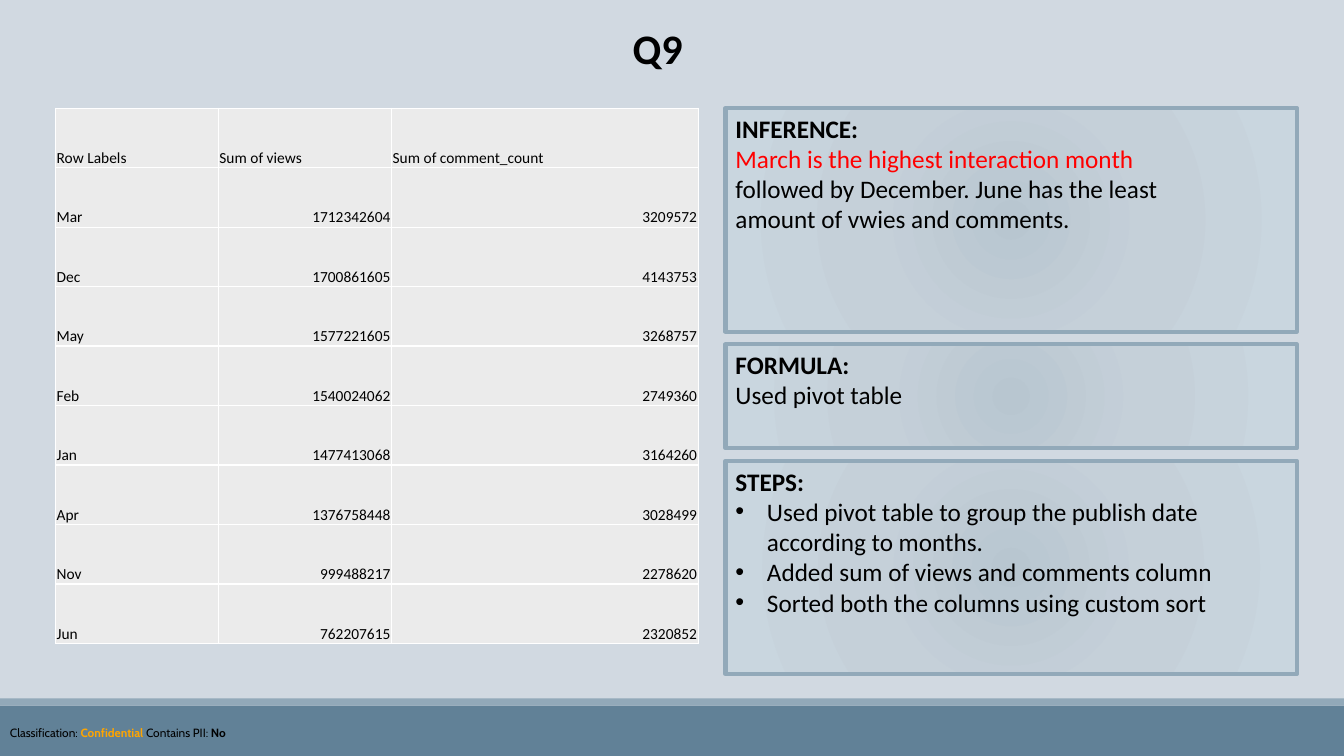
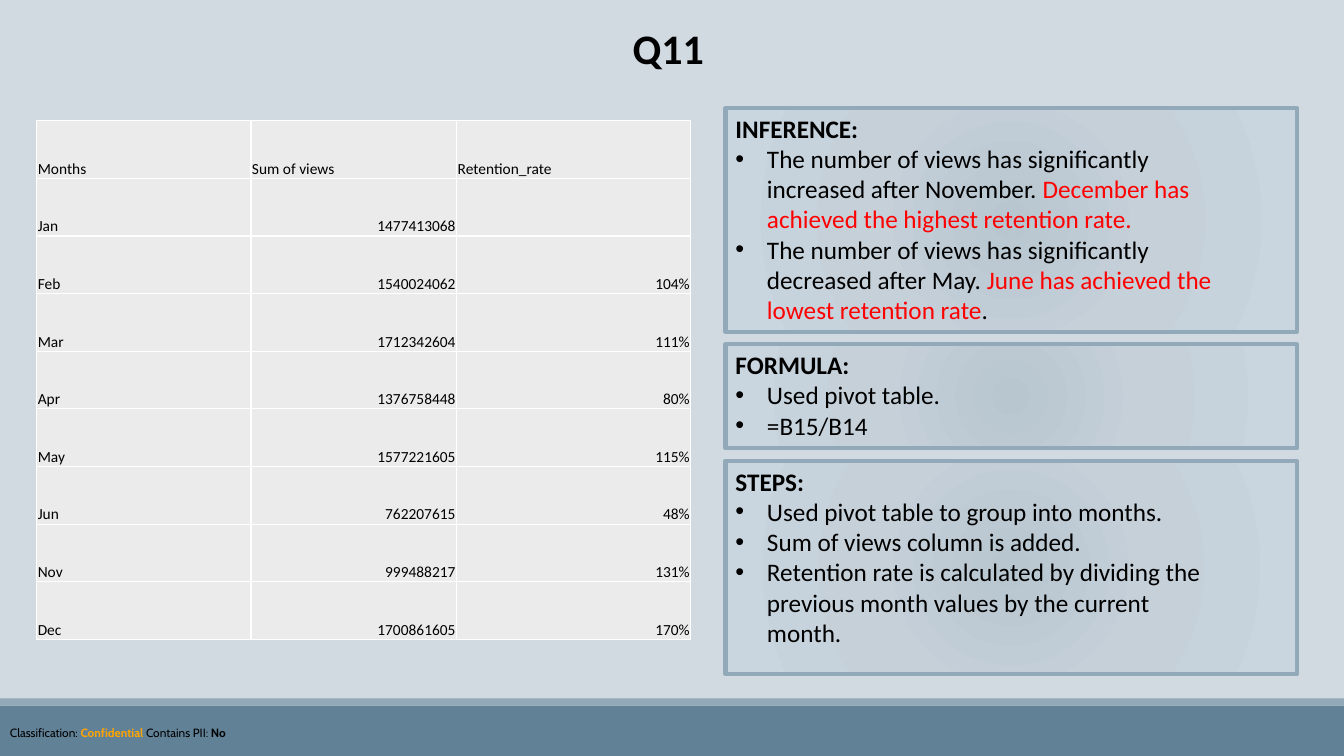
from pptx import Presentation
from pptx.dml.color import RGBColor
from pptx.enum.shapes import MSO_SHAPE
from pptx.enum.text import MSO_ANCHOR, PP_ALIGN
from pptx.oxml import parse_xml
from pptx.oxml.ns import nsdecls, qn
from pptx.util import Emu, Pt

# Shared look
SLIDE_W, SLIDE_H = 1280, 720
BACKGROUND = RGBColor(0xD1, 0xD9, 0xE1)
BAND = RGBColor(0x61, 0x81, 0x97)
ACCENT = RGBColor(0x92, 0xA9, 0xB9)
CELL = RGBColor(0xEB, 0xEB, 0xEB)
WHITE = RGBColor(0xFF, 0xFF, 0xFF)
BLACK = RGBColor(0x00, 0x00, 0x00)
RED = RGBColor(0xFF, 0x00, 0x00)
ORANGE = RGBColor(0xFF, 0xA5, 0x00)
PANEL_STOPS = [(0, RGBColor(0xB8, 0xC6, 0xD0)),
               (45, RGBColor(0xC5, 0xD0, 0xD9)),
               (100, RGBColor(0xC9, 0xD6, 0xDF))]
BODY_FONT, FOOTER_FONT = "Calibri", "Cabin"

# Right-hand column of panels
PANEL_X, PANEL_Y, PANEL_W, PANEL_GAP = 691, 103, 544, 12
PANEL_HEIGHTS = [213, 99, 203]
PANEL_TEXT_W = 482
BULLET_INDENT = 30


def px(length):
    return Emu(length * 9525)


def set_font(font, size, name=BODY_FONT, color=BLACK, bold=False):
    font.size, font.name, font.bold = Pt(size), name, bold
    font.color.rgb = color


def add_rect(slide, x, y, w, h, fill):
    rect = slide.shapes.add_shape(MSO_SHAPE.RECTANGLE, px(x), px(y), px(w), px(h))
    rect.shadow.inherit = False
    rect.fill.solid()
    rect.fill.fore_color.rgb = fill
    rect.line.fill.background()
    return rect


def add_text_frame(slide, x, y, w, h):
    frame = slide.shapes.add_textbox(px(x), px(y), px(w), px(h)).text_frame
    frame.word_wrap = True
    return frame


def add_runs(paragraph, runs):
    """Each run is plain text, or a pair of text and colour."""
    for item in runs:
        text, color = (item, BLACK) if isinstance(item, str) else item
        run = paragraph.add_run()
        run.text = text
        run.font.color.rgb = color


def add_footer(slide, y):
    add_rect(slide, 0, y + 7, SLIDE_W, SLIDE_H - y - 7, BAND)
    add_rect(slide, 0, y, SLIDE_W, 7, ACCENT)
    label = add_text_frame(slide, 0, y + 21, SLIDE_W, 23).paragraphs[0]
    set_font(label.font, 8.5, FOOTER_FONT)
    add_runs(label, ["Classification: ", ("Confidential", ORANGE),
                     " Contains PII: ", "No"])
    for answer in label.runs[1::2]:
        answer.font.bold = True


def add_title(slide, title):
    heading = add_text_frame(slide, 593, 17, 359, 59).paragraphs[0]
    heading.text = title
    set_font(heading.font, 30, bold=True)


def fill_radial(shape):
    stops = "".join(f'<a:gs pos="{at * 1000}"><a:srgbClr val="{color}"/></a:gs>'
                    for at, color in PANEL_STOPS)
    shape.fill.gradient()
    properties = shape.fill._xPr
    properties.replace(properties.find(qn("a:gradFill")), parse_xml(
        f'<a:gradFill {nsdecls("a")} rotWithShape="1"><a:gsLst>{stops}</a:gsLst>'
        '<a:path path="circle"><a:fillToRect l="100000" t="100000" r="100000"'
        ' b="100000"/></a:path></a:gradFill>'))


def add_bullet(paragraph):
    properties = paragraph._p.get_or_add_pPr()
    properties.set("marL", str(px(BULLET_INDENT)))
    properties.set("indent", str(-px(BULLET_INDENT)))
    properties.append(parse_xml(f'<a:buFont {nsdecls("a")} typeface="Arial"/>'))
    properties.append(parse_xml(f'<a:buChar {nsdecls("a")} char="•"/>'))


def add_panel(slide, x, y, w, h, heading, points, bulleted):
    panel = add_rect(slide, x, y, w, h, ACCENT)
    fill_radial(panel)
    panel.line.color.rgb = ACCENT
    panel.line.width = Pt(3)

    frame = add_text_frame(slide, x, y, PANEL_TEXT_W, h)
    frame.text = heading
    set_font(frame.paragraphs[0].font, 18, bold=True)
    for runs in points:
        point = frame.add_paragraph()
        set_font(point.font, 18)
        if bulleted:
            add_bullet(point)
        add_runs(point, runs)


def add_panels(slide, panels):
    y = PANEL_Y
    for h, panel in zip(PANEL_HEIGHTS, panels):
        add_panel(slide, PANEL_X, y, PANEL_W, h, *panel)
        y += h + PANEL_GAP


def add_borders(cell):
    properties = cell._tc.get_or_add_tcPr()
    for index, side in enumerate(("lnL", "lnR", "lnT", "lnB")):
        properties.insert(index, parse_xml(
            f'<a:{side} {nsdecls("a")} w="{Pt(1)}"><a:solidFill>'
            f'<a:srgbClr val="{WHITE}"/></a:solidFill></a:{side}>'))


def add_pivot_table(slide, x, y, h, column_widths, rows):
    table = slide.shapes.add_table(len(rows), len(column_widths), px(x), px(y),
                                   px(sum(column_widths)), px(h)).table
    table.first_row = table.horz_banding = False
    for column, width in zip(table.columns, column_widths):
        column.width = px(width)
    for r, values in enumerate(rows):
        table.rows[r].height = Emu(px(h) // len(rows))
        for c, value in enumerate(values):
            cell = table.cell(r, c)
            cell.margin_left = cell.margin_right = cell.margin_top = px(1)
            cell.margin_bottom = 0
            cell.vertical_anchor = MSO_ANCHOR.BOTTOM
            cell.fill.solid()
            cell.fill.fore_color.rgb = CELL
            add_borders(cell)
            cell.text = value
            entry = cell.text_frame.paragraphs[0]
            set_font(entry.font, 11)
            if r and c:
                entry.alignment = PP_ALIGN.RIGHT


def add_question_slide(prs, title, table, panels):
    slide = prs.slides.add_slide(prs.slide_layouts[6])
    add_footer(slide, 665)
    add_title(slide, title)
    add_panels(slide, panels)
    add_pivot_table(slide, **table)


# Content: each panel is heading, points, bulleted
Q9_TABLE = dict(x=53, y=103, h=510, column_widths=[155, 165, 292], rows=[
    ("Row Labels", "Sum of views", "Sum of comment_count"),
    ("Mar", "1712342604", "3209572"),
    ("Dec", "1700861605", "4143753"),
    ("May", "1577221605", "3268757"),
    ("Feb", "1540024062", "2749360"),
    ("Jan", "1477413068", "3164260"),
    ("Apr", "1376758448", "3028499"),
    ("Nov", "999488217", "2278620"),
    ("Jun", "762207615", "2320852"),
])
Q9_PANELS = [
    ("INFERENCE:", [[("March is the highest interaction month ", RED),
                     "followed by December. June has the least amount of "
                     "vwies and comments."]], False),
    ("FORMULA:", [["Used pivot table"]], False),
    ("STEPS:", [
        ["Used pivot table to group the publish date according to months."],
        ["Added sum of views and comments column"],
        ["Sorted both the columns using custom sort"]], True),
]
Q11_TABLE = dict(x=35, y=115, h=494, column_widths=[204, 196, 223], rows=[
    ("Months", "Sum of views", "Retention_rate"),
    ("Jan", "1477413068", ""),
    ("Feb", "1540024062", "104%"),
    ("Mar", "1712342604", "111%"),
    ("Apr", "1376758448", "80%"),
    ("May", "1577221605", "115%"),
    ("Jun", "762207615", "48%"),
    ("Nov", "999488217", "131%"),
    ("Dec", "1700861605", "170%"),
])
Q11_PANELS = [
    ("INFERENCE:", [
        ["The number of views has significantly increased after November. ",
         ("December has achieved the highest retention rate.", RED)],
        ["The number of views has significantly decreased after May. ",
         ("June has achieved the lowest retention rate", RED), "."]], True),
    ("FORMULA:", [["Used pivot table."], ["=B15/B14"]], True),
    ("STEPS:", [
        ["Used pivot table to group into months."],
        ["Sum of views column is added."],
        ["Retention rate is calculated by dividing the previous month values "
         "by the current month."]], True),
]


def main():
    prs = Presentation()
    prs.slide_width, prs.slide_height = px(SLIDE_W), px(SLIDE_H)
    backdrop = prs.slide_master.background.fill
    backdrop.solid()
    backdrop.fore_color.rgb = BACKGROUND
    add_question_slide(prs, "Q9", Q9_TABLE, Q9_PANELS)
    add_question_slide(prs, "Q11", Q11_TABLE, Q11_PANELS)
    prs.save("out.pptx")


if __name__ == "__main__":
    main()
